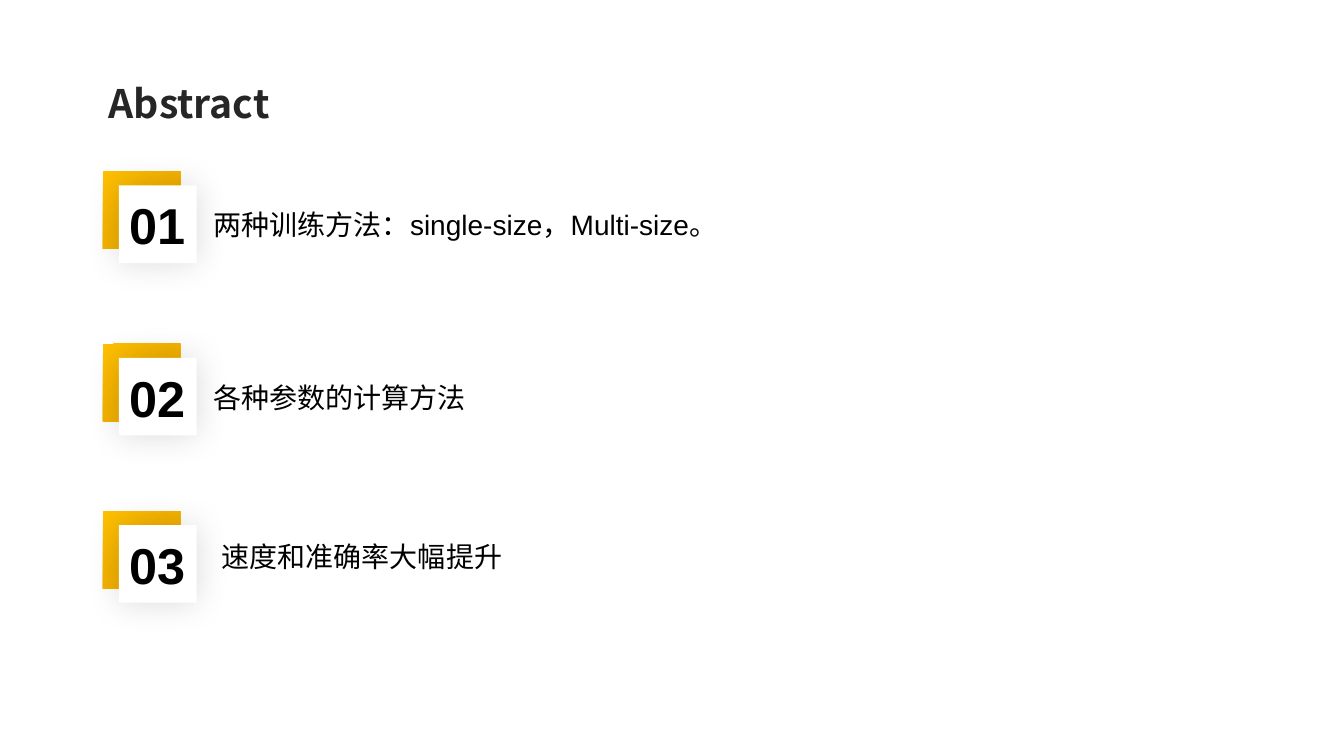
from pptx import Presentation
from pptx.dml.color import RGBColor
from pptx.enum.shapes import MSO_SHAPE
from pptx.enum.text import MSO_ANCHOR, MSO_AUTO_SIZE, PP_ALIGN
from pptx.oxml.ns import qn
from pptx.util import Inches, Pt
from lxml.etree import SubElement


def colour(value):
    """Turn a hex string into a colour."""
    return RGBColor.from_string(value)


class SlideBuilder:
    """Hold the style and the current slide, and draw its elements."""

    black = "000000"
    white = "FFFFFF"
    title_colour = "262626"
    badge_colours = ("FFC000", "E6A200")
    text_font = "Arial"
    asian_font = "Noto Sans CJK SC"
    square_size = 0.77

    def __init__(self, deck):
        """Add a title-only slide to the deck."""
        self.page = deck.slides.add_slide(deck.slide_layouts[5])

    def set_text(self, box, text, size, font, text_colour, bold, align):
        """Put one formatted paragraph into a box."""
        frame = box.text_frame
        frame.text = text
        frame.word_wrap = True
        frame.vertical_anchor = MSO_ANCHOR.TOP
        para = frame.paragraphs[0]
        para.alignment = align
        span = para.runs[0]
        span.font.size = Pt(size)
        span.font.name = font
        span.font.bold = bold
        span.font.color.rgb = colour(text_colour)
        properties = span.font._element
        SubElement(properties, qn("a:ea"), typeface=self.asian_font)
        return para

    def title(self, text):
        """Place and format the title placeholder."""
        box = self.page.shapes.title
        box.left, box.top = Inches(0.98), Inches(0.64)
        box.width, box.height = Inches(11.41), Inches(0.87)
        para = self.set_text(box, text, 28, self.asian_font,
                             self.title_colour, True, PP_ALIGN.LEFT)
        para.line_spacing = 1.2
        box.text_frame.auto_size = MSO_AUTO_SIZE.NONE

    def square(self, left, top):
        """Add a square without line or shadow."""
        side = Inches(self.square_size)
        shape = self.page.shapes.add_shape(
            MSO_SHAPE.RECTANGLE, Inches(left), Inches(top), side, side)
        shape.line.fill.background()
        shape.shadow.inherit = False
        return shape

    def gradient_square(self, left, top):
        """Add a square with the diagonal yellow gradient."""
        fill = self.square(left, top).fill
        fill.gradient()
        fill.gradient_angle = 315
        for stop, value in zip(fill.gradient_stops, self.badge_colours):
            stop.color.rgb = colour(value)

    def card(self, left, top):
        """Add a white square with a soft shadow."""
        shape = self.square(left, top)
        shape.fill.solid()
        shape.fill.fore_color.rgb = colour(self.white)
        effects = shape._element.spPr.find(qn("a:effectLst"))
        shadow = SubElement(effects, qn("a:outerShdw"),
                            blurRad=str(Pt(25)), dist="0", dir="0",
                            algn="ctr", rotWithShape="0")
        tint = SubElement(shadow, qn("a:srgbClr"), val=self.black)
        SubElement(tint, qn("a:alpha"), val="15000")

    def label(self, text, left, top, width, height, size, bold, align):
        """Add a text box that grows with its text."""
        box = self.page.shapes.add_textbox(
            Inches(left), Inches(top), Inches(width), Inches(height))
        self.set_text(box, text, size, self.text_font, self.black, bold, align)
        box.text_frame.auto_size = MSO_AUTO_SIZE.SHAPE_TO_FIT_TEXT
        return box

    def item(self, number, text, top, text_left, text_top):
        """Add a numbered badge and its statement."""
        self.gradient_square(1.02, top)
        self.card(1.18, top + 0.14)
        self.label(f"{number:02d}", 1.16, top + 0.18, 0.8, 0.71,
                   36, True, PP_ALIGN.CENTER)
        box = self.label(text, text_left, text_top, 9.4, 0.34,
                         20, False, PP_ALIGN.JUSTIFY)
        box.text_frame.margin_top = box.text_frame.margin_bottom = 0


def main():
    """Build the abstract slide and save it."""
    deck = Presentation()
    deck.slide_width, deck.slide_height = Inches(13.33), Inches(7.5)
    builder = SlideBuilder(deck)
    builder.title("Abstract")
    items = [
        ("两种训练方法：single-size，Multi-size。", 1.7, 2.02, 2.06),
        ("各种参数的计算方法", 3.41, 2.02, 3.77),
        ("速度和准确率大幅提升", 5.07, 2.1, 5.35),
    ]
    for number, (text, top, text_left, text_top) in enumerate(items, 1):
        builder.item(number, text, top, text_left, text_top)
    deck.save("out.pptx")


if __name__ == "__main__":
    main()
